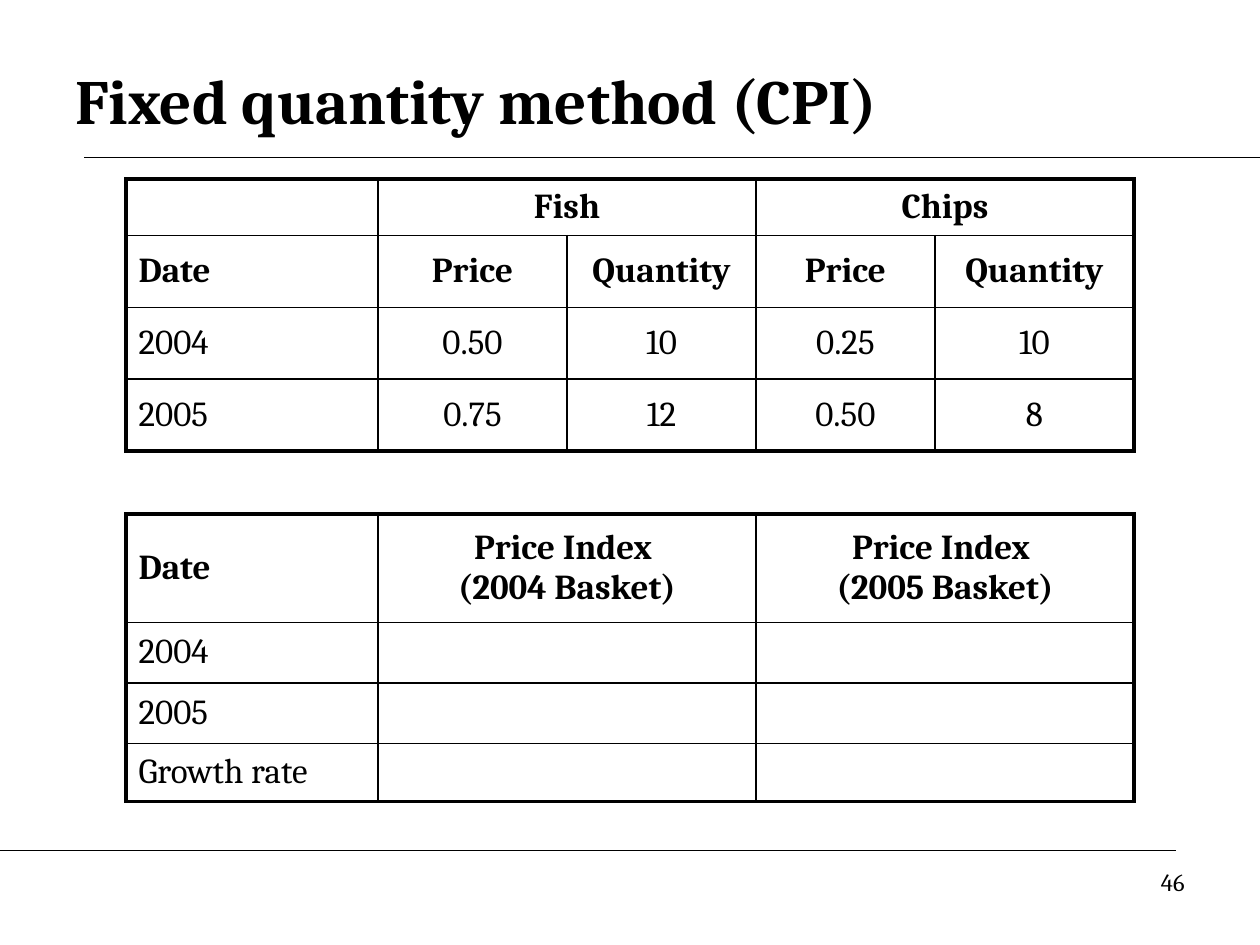
from dataclasses import dataclass

from lxml import etree
from pptx import Presentation
from pptx.dml.color import RGBColor
from pptx.enum.shapes import MSO_CONNECTOR
from pptx.enum.text import MSO_ANCHOR, PP_ALIGN
from pptx.oxml.ns import qn
from pptx.util import Inches, Pt

STRAIGHT = MSO_CONNECTOR.STRAIGHT
MIDDLE, TOP = MSO_ANCHOR.MIDDLE, MSO_ANCHOR.TOP
LEFT, CENTER, RIGHT = PP_ALIGN.LEFT, PP_ALIGN.CENTER, PP_ALIGN.RIGHT


@dataclass(frozen=True)
class Theme:
    font: str = "Cambria"
    ink: str = "000000"
    title: int = 36
    body: int = 20
    number: int = 14
    rule: float = 0.75
    inner: float = 1
    outer: float = 2.25


class SlideBuilder:
    def __init__(self, slide, theme):
        self.slide = slide
        self.theme = theme
        self.ink = RGBColor.from_string(theme.ink)

    def style(self, p, size, bold=False, align=LEFT):
        p.alignment = align
        p.font.name = self.theme.font
        p.font.size = Pt(size)
        p.font.bold = bold
        p.font.color.rgb = self.ink

    def rule(self, x1, x2, y):
        line = self.slide.shapes.add_connector(
            STRAIGHT, Inches(x1), Inches(y), Inches(x2), Inches(y))
        line.line.color.rgb = self.ink
        line.line.width = Pt(self.theme.rule)
        etree.SubElement(line._element.spPr, qn("a:effectLst"))

    def text(self, text, box, size, bold=False, align=LEFT, anchor=TOP):
        sp = self.slide.shapes.add_textbox(*map(Inches, box))
        tf = sp.text_frame
        tf.word_wrap = True
        tf.vertical_anchor = anchor
        tf.text = text
        self.style(tf.paragraphs[0], size, bold, align)

    def border(self, cell, side, width):
        ln = etree.SubElement(cell._tc.get_or_add_tcPr(), qn(f"a:ln{side}"),
                              w=str(Pt(width)))
        fill = etree.SubElement(ln, qn("a:solidFill"))
        etree.SubElement(fill, qn("a:srgbClr"), val=self.theme.ink)

    def table(self, left, top, widths, heights, rows, header_rows, merges=()):
        """Draw a grid with a heavy frame; merges are (row, first, last column)."""
        n_rows, n_cols = len(heights), len(widths)
        frame = self.slide.shapes.add_table(
            n_rows, n_cols, Inches(left), Inches(top),
            Inches(sum(widths)), Inches(sum(heights)))
        table = frame.table
        table.first_row = table.horz_banding = False
        for column, width in zip(table.columns, widths):
            column.width = Inches(width)
        for row, height in zip(table.rows, heights):
            row.height = Inches(height)
        for r, first, last in merges:
            table.cell(r, first).merge(table.cell(r, last))

        for r, texts in enumerate(rows):
            for c, text in enumerate(texts):
                cell = table.cell(r, c)
                span = cell.span_width if cell.is_merge_origin else 1
                on_frame = {"L": c == 0, "R": c + span == n_cols,
                            "T": r == 0, "B": r == n_rows - 1}
                for side, heavy in on_frame.items():
                    self.border(cell, side,
                                self.theme.outer if heavy else self.theme.inner)
                cell.fill.background()
                cell.vertical_anchor = MIDDLE
                if text:
                    cell.text = text
                    self.style(cell.text_frame.paragraphs[0], self.theme.body,
                               r < header_rows, CENTER if c else LEFT)


def main():
    prs = Presentation()
    prs.slide_width, prs.slide_height = Inches(10), Inches(7.5)
    theme = Theme()
    s = SlideBuilder(prs.slides.add_slide(prs.slide_layouts[6]), theme)

    s.rule(0.67, 10, 1.25)
    s.rule(0, 9.33, 6.75)
    s.text("Fixed quantity method (CPI)", (0.5, 0.33, 9, 0.92), theme.title,
           bold=True, anchor=MIDDLE)

    prices = [
        ["", "Fish", "", "Chips", ""],
        ["Date", "Price", "Quantity", "Price", "Quantity"],
        ["2004", "0.50", "10", "0.25", "10"],
        ["2005", "0.75", "12", "0.50", "8"],
    ]
    s.table(1, 1.42, [2, 1.5, 1.5, 1.42, 1.58], [0.45] + [0.57] * 3, prices,
            header_rows=2, merges=[(0, 1, 2), (0, 3, 4)])

    indices = [
        ["Date", "Price Index \v(2004 Basket)", "Price Index \v(2005 Basket)"],
        ["2004", "", ""],
        ["2005", "", ""],
        ["Growth rate", "", ""],
    ]
    s.table(1, 4.08, [2, 3, 3], [0.86, 0.48, 0.48, 0.46], indices, header_rows=1)

    s.text("46", (7.17, 6.83, 2.33, 0.52), theme.number, align=RIGHT)
    prs.save("out.pptx")


if __name__ == "__main__":
    main()
